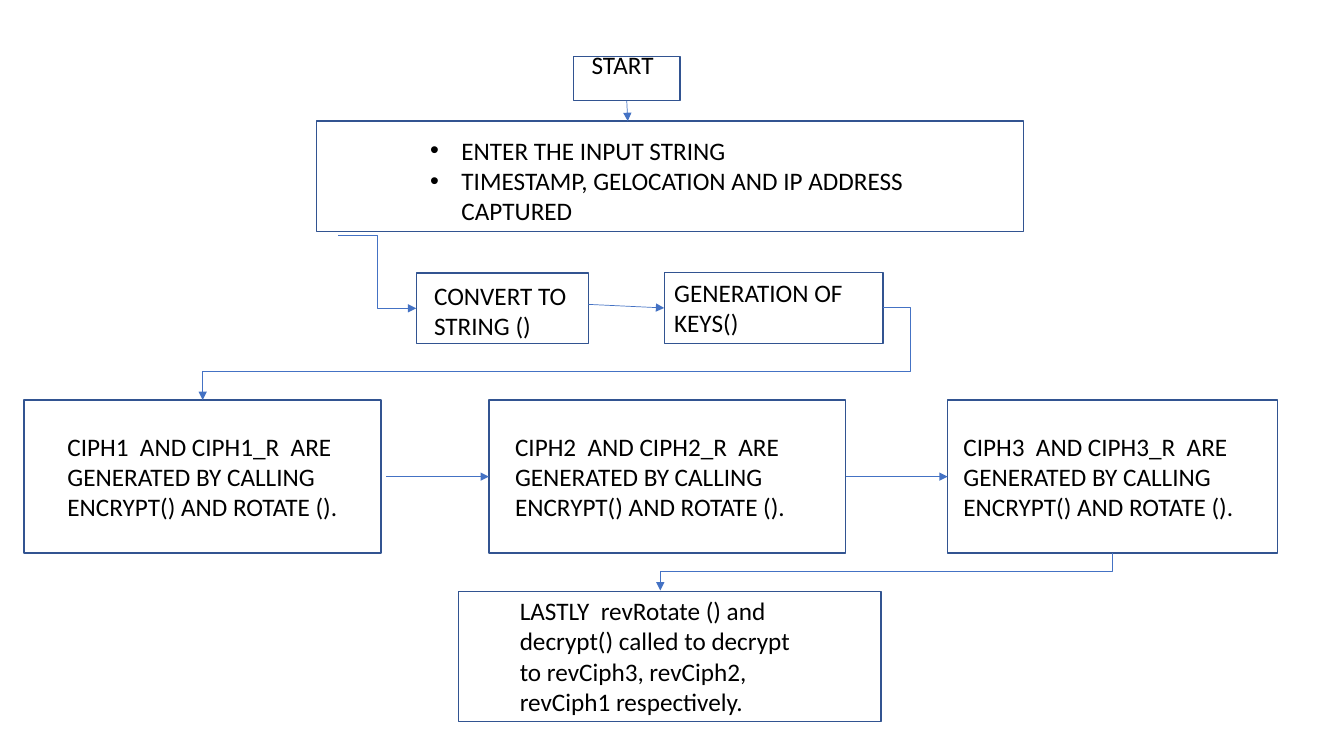
from dataclasses import dataclass

from lxml import etree
from pptx import Presentation
from pptx.dml.color import RGBColor
from pptx.enum.shapes import MSO_CONNECTOR, MSO_SHAPE
from pptx.enum.text import MSO_AUTO_SIZE
from pptx.oxml.ns import qn
from pptx.util import Cm, Pt

RECTANGLE = MSO_SHAPE.RECTANGLE
STRAIGHT, ELBOW = MSO_CONNECTOR.STRAIGHT, MSO_CONNECTOR.ELBOW
GROW = MSO_AUTO_SIZE.SHAPE_TO_FIT_TEXT
TOP, LEFT, BOTTOM, RIGHT = range(4)
QUARTER_TURN = "5400000"


@dataclass(frozen=True)
class Theme:
    font: str = "Calibri"
    text_size: Pt = Pt(18)
    text: RGBColor = RGBColor(0x00, 0x00, 0x00)
    outline: RGBColor = RGBColor(0x32, 0x54, 0x91)
    outline_width: Pt = Pt(1)
    arrow: RGBColor = RGBColor(0x44, 0x72, 0xC4)
    arrow_width: Pt = Pt(0.5)


THEME = Theme()


def add_box(page, left, top, width, height):
    box = page.shapes.add_shape(RECTANGLE, Cm(left), Cm(top), Cm(width), Cm(height))
    box.shadow.inherit = False
    box.fill.background()
    box.line.color.rgb = THEME.outline
    box.line.width = THEME.outline_width
    return box


def set_bullet(para):
    properties = para._p.get_or_add_pPr()
    properties.set("marL", str(Cm(0.79)))
    properties.set("indent", str(-Cm(0.79)))
    etree.SubElement(properties, qn("a:buFont")).set("typeface", "Arial")
    etree.SubElement(properties, qn("a:buChar")).set("char", "•")


def add_label(page, left, top, width, height, *lines, bulleted=False):
    label = page.shapes.add_textbox(Cm(left), Cm(top), Cm(width), Cm(height))
    frame = label.text_frame
    frame.word_wrap = True
    frame.auto_size = GROW
    for index, line in enumerate(lines):
        para = frame.add_paragraph() if index else frame.paragraphs[0]
        if bulleted:
            set_bullet(para)
        span = para.add_run()
        span.text = line
        span.font.name = THEME.font
        span.font.size = THEME.text_size
        span.font.color.rgb = THEME.text


def add_arrow(page, start, end, kind=STRAIGHT, source=None, target=None):
    """Draw an arrow; source and target are (box, side) pairs to join."""
    arrow = page.shapes.add_connector(kind, *map(Cm, start + end))
    if source:
        arrow.begin_connect(*source)
    if target:
        arrow.end_connect(*target)
    arrow.line.color.rgb = THEME.arrow
    arrow.line.width = THEME.arrow_width
    properties = arrow._element.spPr
    etree.SubElement(properties.find(qn("a:ln")), qn("a:tailEnd")).set("type", "triangle")
    etree.SubElement(properties, qn("a:effectLst"))
    return arrow


def add_wrapping_arrow(page, start, end, bends):
    """Leave sideways, turn back and enter the target from above."""
    arrow = add_arrow(page, start, end, ELBOW)
    geometry = arrow._element.spPr.find(qn("a:prstGeom"))
    geometry.set("prst", "bentConnector4")
    guides = geometry.find(qn("a:avLst"))
    for number, bend in enumerate(bends, 1):
        guide = etree.SubElement(guides, qn("a:gd"))
        guide.set("name", f"adj{number}")
        guide.set("fmla", f"val {round(bend * 100000)}")


def add_dropping_arrow(page, start, end):
    """Run down, left and down again: an elbow turned by a quarter."""
    middle_x, middle_y = (start[0] + end[0]) / 2, (start[1] + end[1]) / 2
    half_run, half_drop = (start[0] - end[0]) / 2, (end[1] - start[1]) / 2
    arrow = add_arrow(
        page,
        (middle_x - half_drop, middle_y - half_run),
        (middle_x + half_drop, middle_y + half_run),
        ELBOW,
    )
    arrow._element.spPr.find(qn("a:xfrm")).set("rot", QUARTER_TURN)


def add_cipher_step(page, number, left, width, label_left):
    box = add_box(page, left, 10.08, width, 3.86)
    add_label(
        page, label_left, 10.74, 8.18, 2.57,
        f"CIPH{number}  AND CIPH{number}_R  ARE GENERATED BY CALLING "
        "ENCRYPT() AND ROTATE ().",
    )
    return box


def main():
    deck = Presentation()
    deck.slide_width, deck.slide_height = Cm(33.87), Cm(19.05)
    page = deck.slides.add_slide(deck.slide_layouts[6])

    start = add_box(page, 14.45, 1.42, 2.69, 1.12)
    add_label(page, 14.66, 1.12, 2.36, 1.02, "START")

    add_box(page, 7.98, 3.05, 17.81, 2.79)
    add_label(
        page, 10.59, 3.28, 13.34, 2.57,
        "ENTER THE INPUT STRING",
        "TIMESTAMP, GELOCATION AND IP ADDRESS CAPTURED",
        bulleted=True,
    )

    add_box(page, 10.49, 6.88, 4.34, 1.78)
    add_label(page, 10.69, 6.93, 4.34, 1.8, "CONVERT TO STRING ()")

    keys_area = (16.74, 6.86, 5.51, 1.8)
    keys = add_box(page, *keys_area)
    add_label(page, *keys_area, "GENERATION OF KEYS()")

    add_cipher_step(page, 1, 0.61, 8.99, 1.45)
    second = add_cipher_step(page, 2, 12.32, 8.99, 12.73)
    third = add_cipher_step(page, 3, 23.88, 8.31, 24.03)

    add_box(page, 11.56, 14.91, 10.64, 3.28)
    add_label(
        page, 12.85, 14.88, 7.59, 3.33,
        "LASTLY  revRotate () and decrypt() called to decrypt "
        "to revCiph3, revCiph2, revCiph1 respectively.",
    )

    add_arrow(page, (15.8, 2.54), (15.82, 3.05), source=(start, BOTTOM))
    add_arrow(page, (8.53, 5.94), (10.49, 7.77), ELBOW)
    add_arrow(page, (14.83, 7.67), (16.74, 7.76), target=(keys, LEFT))
    add_arrow(page, (9.73, 12.01), (12.32, 12.01), target=(second, LEFT))
    add_arrow(page, (21.31, 12.01), (23.88, 12.01),
              source=(second, RIGHT), target=(third, LEFT))
    add_wrapping_arrow(page, (22.26, 7.75), (5.11, 10.08), (-0.04, 0.69))
    add_dropping_arrow(page, (28.04, 13.94), (16.64, 14.88))

    deck.save("out.pptx")


if __name__ == "__main__":
    main()
